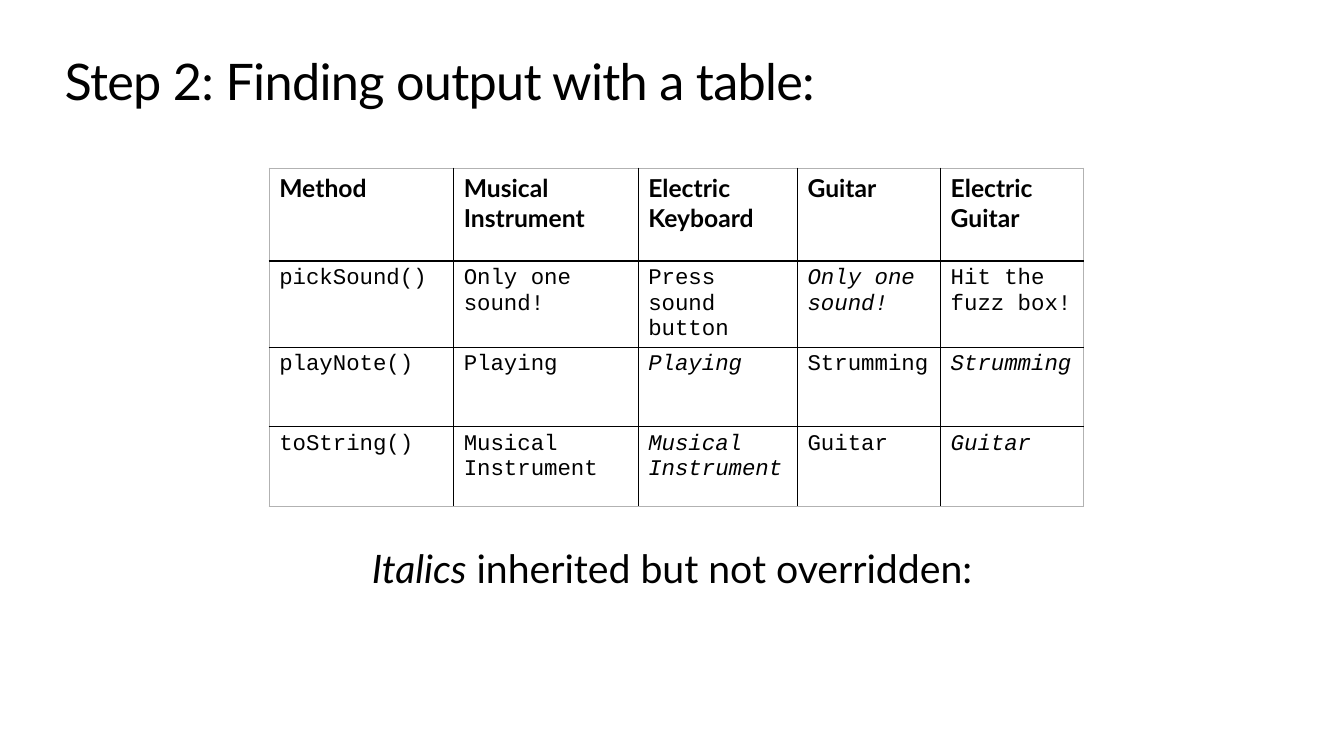
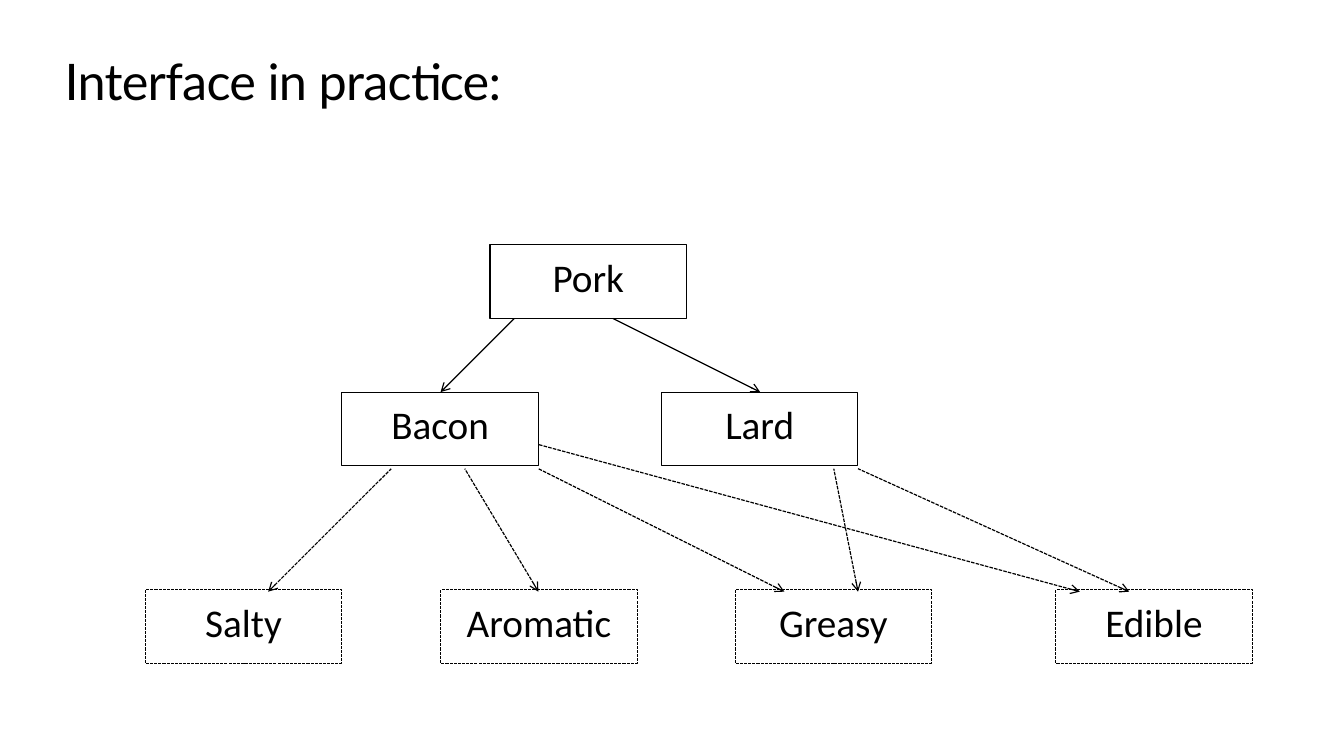
from lxml import etree
from pptx import Presentation
from pptx.dml.color import RGBColor
from pptx.enum.dml import MSO_LINE_DASH_STYLE as Dash
from pptx.enum.shapes import MSO_CONNECTOR as Connector, MSO_SHAPE as Shape
from pptx.enum.text import MSO_ANCHOR as Anchor, MSO_AUTO_SIZE as AutoSize, PP_ALIGN as Align
from pptx.oxml.ns import qn
from pptx.util import Inches, Pt

COLORS = {"ink": "000000", "paper": "FFFFFF", "frame": "B2B2B2"}
FORMATS = {
    "title": {"name": "Lato", "size": Pt(36), "bold": False},
    "body": {"name": "Lato", "size": Pt(28), "bold": False},
    "header": {"name": "Lato", "size": Pt(17.6), "bold": True},
    "code": {"name": "Courier New", "size": Pt(16), "bold": False},
    "box": {"name": "Calibri", "size": Pt(28), "bold": False},
}
LAYOUT_CONTENT, LAYOUT_TITLE_ONLY = 1, 5
TEXT_LEFT, TEXT_WIDTH = 0.64, 12.05
BOX_WIDTH, BOX_HEIGHT = 1.95, 0.73


def color(name):
    return RGBColor.from_string(COLORS[name])


class Deck:
    def __init__(self):
        self.presentation = Presentation()
        self.presentation.slide_width = Inches(13.33)
        self.presentation.slide_height = Inches(7.5)
        self.slide = None

    def add_slide(self, title, layout):
        layouts = self.presentation.slide_layouts
        self.slide = self.presentation.slides.add_slide(layouts[layout])
        fill = self.slide.background.fill
        fill.solid()
        fill.fore_color.rgb = color("paper")
        paragraph = self.place(self.slide.shapes.title, 0.5, 0.61)
        paragraph.alignment = Align.LEFT
        run = self.add_run(paragraph, title, "title")
        run.font._element.set("spc", "-50")

    def place(self, placeholder, top, height):
        """Move a placeholder to the text column and return its first paragraph."""
        placeholder.left, placeholder.width = Inches(TEXT_LEFT), Inches(TEXT_WIDTH)
        placeholder.top, placeholder.height = Inches(top), Inches(height)
        frame = placeholder.text_frame
        settings = {"margin_left": 0, "margin_right": 0, "margin_top": 0, "margin_bottom": 0,
                    "word_wrap": True, "auto_size": AutoSize.NONE,
                    "vertical_anchor": Anchor.TOP}
        for name, value in settings.items():
            setattr(frame, name, value)
        return frame.paragraphs[0]

    def add_run(self, paragraph, text, style, italic=False):
        run = paragraph.add_run()
        run.text = text
        for name, value in FORMATS[style].items():
            setattr(run.font, name, value)
        run.font.italic = italic
        run.font.color.rgb = color("ink")
        return run

    def body(self, runs, top, height):
        paragraph = self.place(self.slide.placeholders[1], top, height)
        properties = paragraph._p.get_or_add_pPr()
        properties.set("marL", "0")
        properties.set("indent", "0")
        etree.SubElement(properties, qn("a:buNone"))
        paragraph.alignment = Align.CENTER
        paragraph.space_before = Pt(0)
        for text, italic in runs:
            self.add_run(paragraph, text, "body", italic)

    def table(self, rows, left, top, widths, heights):
        """Draw a ruled table; a cell text that starts with * is italic."""
        frame = self.slide.shapes.add_table(
            len(rows), len(widths), Inches(left), Inches(top),
            Inches(sum(widths)), Inches(sum(heights)))
        table = frame.table
        table.first_row = table.horz_banding = False
        for column, width in zip(table.columns, widths):
            column.width = Inches(width)
        for row, height in zip(table.rows, heights):
            row.height = Inches(height)
        last_row, last_column = len(rows) - 1, len(widths) - 1
        for i, row in enumerate(rows):
            for j, text in enumerate(row):
                cell = table.cell(i, j)
                cell.fill.background()
                self.add_run(cell.text_frame.paragraphs[0], text.lstrip("*"),
                             "code" if i else "header", text.startswith("*"))
                self.cell_borders(cell, {"lnL": j == 0, "lnR": j == last_column,
                                         "lnT": i == 0, "lnB": i == last_row})

    def cell_borders(self, cell, outer_sides):
        properties = cell._tc.get_or_add_tcPr()
        for position, (side, outer) in enumerate(outer_sides.items()):
            line = etree.Element(qn(f"a:{side}"), w=str(Pt(1)))
            fill = etree.SubElement(line, qn("a:solidFill"))
            etree.SubElement(fill, qn("a:srgbClr"), val=COLORS["frame" if outer else "ink"])
            properties.insert(position, line)

    def line_style(self, line, width, dashed):
        line.color.rgb = color("ink")
        line.width = Pt(width)
        if dashed:
            line.dash_style = Dash.SQUARE_DOT
            line.dash_style = Dash.DASH
            line._ln.find(qn("a:prstDash")).set("val", "sysDash")

    def box(self, text, left, top, dashed=False):
        shape = self.slide.shapes.add_shape(
            Shape.RECTANGLE, Inches(left), Inches(top), Inches(BOX_WIDTH), Inches(BOX_HEIGHT))
        shape.shadow.inherit = False
        shape.fill.background()
        self.line_style(shape.line, 0.75, dashed)
        if dashed:
            shape.line._ln.set("cap", "sq")
        shape.text_frame.vertical_anchor = Anchor.TOP
        shape.text_frame.word_wrap = True
        paragraph = shape.text_frame.paragraphs[0]
        paragraph.alignment = Align.CENTER
        paragraph.line_spacing = 1.07
        self.add_run(paragraph, text, "box")

    def arrow(self, tip, origin, dashed=False):
        connector = self.slide.shapes.add_connector(
            Connector.STRAIGHT, *(Inches(value) for value in (*tip, *origin)))
        self.line_style(connector.line, 0.85, dashed)
        etree.SubElement(connector.line._ln, qn("a:headEnd"), type="arrow")
        etree.SubElement(connector._element.spPr, qn("a:effectLst"))


def output_table(deck):
    deck.add_slide("Step 2: Finding output with a table:", LAYOUT_CONTENT)
    deck.body([("Italics", True), (" inherited but not overridden:", False)], 5.4, 0.5)
    rows = [
        ["Method", "Musical Instrument", "Electric Keyboard", "Guitar", "Electric Guitar"],
        ["pickSound()", "Only one sound!", "Press sound button", "*Only one sound!",
         "Hit the fuzz box!"],
        ["playNote()", "Playing", "*Playing", "Strumming", "*Strumming"],
        ["toString()", "Musical Instrument", "*Musical Instrument", "Guitar", "*Guitar"],
    ]
    deck.table(rows, 2.67, 1.67, [1.83, 1.83, 1.58, 1.42, 1.42], [0.92, 0.85, 0.79, 0.79])


def interface_diagram(deck):
    deck.add_slide("Interface in practice:", LAYOUT_TITLE_ONLY)
    root_top, class_top, interface_top = 2.43, 3.89, 5.85
    deck.box("Pork", 4.86, root_top)
    for name, left in [("Bacon", 3.39), ("Lard", 6.56)]:
        deck.box(name, left, class_top)
    for name, left in [("Salty", 1.44), ("Aromatic", 4.37), ("Greasy", 7.29), ("Edible", 10.47)]:
        deck.box(name, left, interface_top, dashed=True)

    for tip_x, origin_x in [(4.37, 5.1), (7.54, 6.08)]:
        deck.arrow((tip_x, class_top), (origin_x, root_top + BOX_HEIGHT))
    implements = [(2.66, 3.88, 4.65), (5.34, 4.61, 4.65), (7.78, 5.34, 4.65),
                  (8.51, 8.27, 4.65), (11.2, 8.51, 4.65), (10.71, 5.34, 4.41)]
    for tip_x, origin_x, origin_y in implements:
        deck.arrow((tip_x, interface_top + 0.02), (origin_x, origin_y), dashed=True)


def main():
    deck = Deck()
    output_table(deck)
    interface_diagram(deck)
    deck.presentation.save("out.pptx")


if __name__ == "__main__":
    main()
